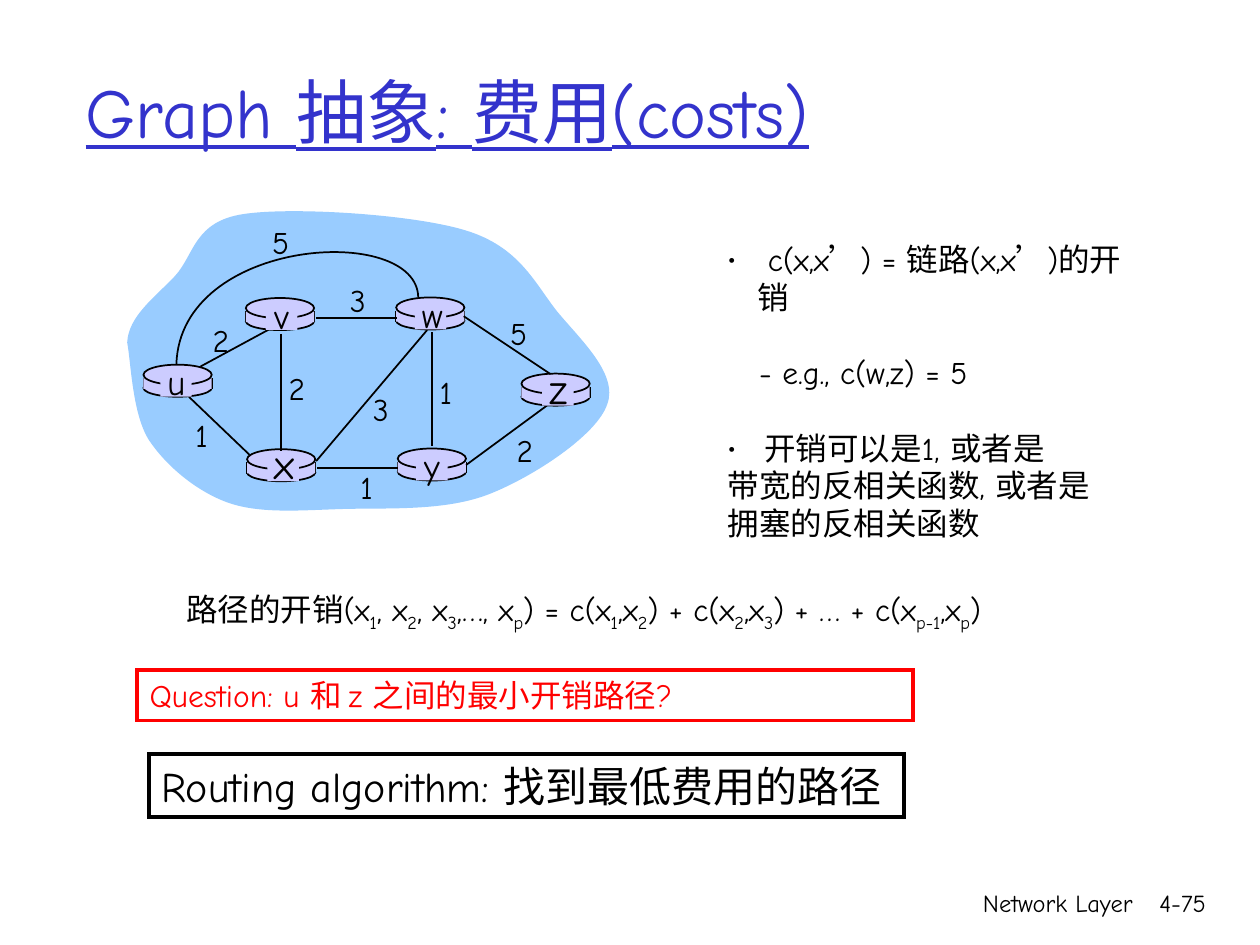
import pptx
import pptx.dml.color
import pptx.enum.shapes
import pptx.enum.text
import pptx.oxml.ns
import pptx.util
from lxml import etree

Pt = pptx.util.Pt
MSO = pptx.enum.shapes.MSO_SHAPE
ALIGN = pptx.enum.text.PP_ALIGN
ANCHOR = pptx.enum.text.MSO_ANCHOR
AUTO = pptx.enum.text.MSO_AUTO_SIZE
qn = pptx.oxml.ns.qn

BLACK, BLUE, RED = "000000", "3333CC", "FF0000"
LILAC, SKY = "CCCCFF", "99CCFF"

CLOUD = [
    (72.7, 195.8), (73.4, 180.7), (88.6, 169.9), (100.1, 157.7),
    (111.2, 145.4), (110.9, 126.7), (139, 122.4),
    (166.3, 118.1), (236.2, 122.4), (266.4, 131.8),
    (296.6, 141.1), (305.3, 161.3), (318.2, 177.8),
    (331.9, 194.4), (353.5, 213.8), (347, 231.1),
    (341.3, 248.4), (305.3, 272.2), (280.1, 282.2),
    (254.9, 292.3), (221.8, 290.2), (196.6, 290.9),
    (172.1, 291.6), (149, 293.8), (130.3, 287.3),
    (112.3, 280.8), (95, 266.4), (85, 251.3),
    (75.6, 236.2), (74.9, 207.4), (72.7, 195.8),
]
UW_ARC = [(239, 169.9), (238.3, 127.4), (103, 135.4), (100.8, 208.1)]
ROUTERS = {
    "u": (82, 216, 100.6, 20), "x": (141.2, 264.3, 161.8, 24),
    "v": (140.5, 177.9, 160.9, 20), "w": (226.4, 177.6, 246, 20),
    "y": (227.3, 263.9, 246.8, 20), "z": (298, 221.1, 318.8, 24),
}
EDGES = [
    (114.5, 209.5, 157, 186.5), (247, 190, 247, 255),
    (160.6, 190.8, 160.6, 257.8), (180.7, 263.5, 244.1, 188.6),
    (266.4, 265.7, 312.5, 231.8), (181.4, 267.3, 227.5, 267.3),
    (108, 226.8, 142.6, 259.9), (180.7, 181.6, 226.8, 181.6),
    (265, 180.7, 314.6, 213.8),
]
COSTS = [
    ("2", 126.2, 180.2), ("2", 169.6, 207.6), ("1", 115.2, 234),
    ("3", 217.6, 219.6), ("1", 209.5, 263.7), ("1", 254.7, 209.7),
    ("2", 299.9, 242.6), ("5", 296.3, 175.7), ("3", 204.5, 157),
    ("5", 160.4, 123.8),
]
NOTES = [
    (" c(x,x’) = 链路(x,x’)的开销", dict(bullet=True)),
    ("- e.g., c(w,z) = 5", dict(before=21.5, indent=18)),
    (" 开销可以是1, 或者是", dict(before=21.5, bullet=True)),
    ("带宽的反相关函数, 或者是", {}),
    ("拥塞的反相关函数", {}),
]
PATH_COST = ("路径的开销(x|1|, x|2|, x|3|,…, x|p|) = c(x|1|,x|2|) + "
             "c(x|2|,x|3|) + … + c(x|p-1|,x|p|)")


def rgb(value):
    return pptx.dml.color.RGBColor.from_string(value)


class Deck:
    """Draws styled elements on the current slide."""

    font = "Comic Neue"

    def __init__(self, width, height):
        self.prs = pptx.Presentation()
        self.prs.slide_width, self.prs.slide_height = Pt(width), Pt(height)
        self.s = self.prs.slides.add_slide(self.prs.slide_layouts[6])
        self.shapes = self.s.shapes

    def open_group(self):
        self.shapes = self.s.shapes.add_group_shape().shapes

    def close_group(self):
        self.shapes = self.s.shapes

    def paint(self, sp, fill=None, line=None, weight=1):
        sp.shadow.inherit = False
        if fill:
            sp.fill.solid()
            sp.fill.fore_color.rgb = rgb(fill)
        else:
            sp.fill.background()
        if line:
            sp.line.color.rgb = rgb(line)
            sp.line.width = Pt(weight)
            etree.SubElement(sp.line._get_or_add_ln(), qn("a:miter"), lim="800000")
        else:
            sp.line.fill.background()
        return sp

    def shape(self, kind, x, y, w, h, fill=None, line=None, weight=1):
        sp = self.shapes.add_shape(kind, Pt(x), Pt(y), Pt(w), Pt(h))
        return self.paint(sp, fill, line, weight)

    def curve(self, points, fill=None, line=None):
        pts = [(Pt(x), Pt(y)) for x, y in points]
        fb = self.shapes.build_freeform(*pts[0])
        fb.add_line_segments(pts[1:], close=bool(fill))
        sp = fb.convert_to_shape()
        segments = list(sp._element.iter(qn("a:lnTo")))
        for i in range(0, len(segments), 3):
            bezier = etree.Element(qn("a:cubicBezTo"))
            segments[i].addprevious(bezier)
            for segment in segments[i:i + 3]:
                bezier.append(segment[0])
                segment.getparent().remove(segment)
        return self.paint(sp, fill, line)

    def line(self, x1, y1, x2, y2):
        cx = self.shapes.add_connector(
            pptx.enum.shapes.MSO_CONNECTOR.STRAIGHT, Pt(x1), Pt(y1), Pt(x2), Pt(y2))
        cx.line.color.rgb = rgb(BLACK)
        cx.line.width = Pt(1)
        etree.SubElement(cx._element.spPr, qn("a:effectLst"))

    def router(self, x, y):
        self.shape(MSO.OVAL, x, y + 0.7, 39, 10, LILAC, BLACK)
        for side in (x, x + 39):
            self.line(side, y, side, y + 6.3)
        self.shape(MSO.RECTANGLE, x, y, 39, 6.3, LILAC)
        self.shape(MSO.OVAL, x, y - 7.6, 39, 11.5, LILAC, BLACK)

    def runs(self, p, text, size, color, underline=None):
        for i, part in enumerate(text.split("|")):
            r = p.add_run()
            r.text = part
            r.font.name, r.font.size = self.font, Pt(size)
            r.font.color.rgb = rgb(color)
            r.font.underline = underline
            if i % 2:
                r.font._element.set("baseline", "-25000")

    def layout(self, p, before=0, indent=0, bullet=False):
        pPr = p._p.get_or_add_pPr()
        if bullet:
            pPr.set("marL", str(Pt(17)))
            pPr.set("indent", str(-Pt(17)))
            clr = etree.SubElement(pPr, qn("a:buClr"))
            etree.SubElement(clr, qn("a:srgbClr"), val=BLACK)
            etree.SubElement(pPr, qn("a:buSzPct"), val="85000")
            etree.SubElement(pPr, qn("a:buFont"), typeface=self.font)
            etree.SubElement(pPr, qn("a:buChar"), char="•")
        elif indent:
            pPr.set("marL", str(Pt(indent)))
        if before:
            p.space_before = Pt(before)

    def text(self, paras, x, y, w, h, size=18, color=BLACK, align=ALIGN.LEFT,
             anchor=ANCHOR.TOP, wrap=True, grow=True, underline=None, border=None):
        if border:
            sp = self.shape(MSO.RECTANGLE, x, y, w, h, line=border, weight=2.25)
        else:
            sp = self.shapes.add_textbox(Pt(x), Pt(y), Pt(w), Pt(h))
        tf = sp.text_frame
        tf.word_wrap, tf.vertical_anchor = wrap, anchor
        tf.auto_size = AUTO.SHAPE_TO_FIT_TEXT if grow else AUTO.NONE
        if isinstance(paras, str):
            paras = [(paras, {})]
        for i, (text, options) in enumerate(paras):
            p = tf.add_paragraph() if i else tf.paragraphs[0]
            self.layout(p, **options)
            p.alignment = align
            self.runs(p, text, size, color, underline)

    def label(self, text, cx, y, size=18):
        self.text(text, cx - 12, y, 24, size * 1.6, size, align=ALIGN.CENTER, wrap=False)


def main():
    deck = Deck(720, 540)
    for text, x, w in (("Network Layer", 426.2, 228.2), ("4-75", 643, 53.3)):
        deck.text(text, x, 504, w, 36, 14, align=ALIGN.RIGHT, grow=False)
    deck.text("Graph 抽象: 费用(costs)", 41.9, 18, 612, 90, 40, BLUE,
              anchor=ANCHOR.MIDDLE, grow=False, underline=True)

    deck.open_group()
    deck.curve(CLOUD, fill=SKY)
    deck.line(*EDGES[0])
    for x, y, *_ in ROUTERS.values():
        deck.router(x, y)
    for edge in EDGES[1:]:
        deck.line(*edge)
    deck.curve(UW_ARC, line=BLACK)
    for name, (x, y, cx, size) in ROUTERS.items():
        deck.shape(MSO.RECTANGLE, cx - 9, y - 5.8, 18, 16.5, LILAC)
        deck.label(name, cx, y + 7.4 - size * 1.04, size)
    for cost, x, y in COSTS:
        deck.label(cost, x, y)
    deck.close_group()

    deck.text(NOTES, 408.7, 133.6, 245.5, 158.4)
    deck.text(PATH_COST, 99.4, 333.4, 484.6, 31.7, wrap=False)
    deck.text("Question: u 和 z 之间的最小开销路径?", 78.5, 383, 443.5, 28.8,
              color=RED, border=RED)
    deck.text("Routing algorithm: 找到最低费用的路径", 85.2, 431, 431.6, 36, 24,
              wrap=False, border=BLACK)
    deck.prs.save("out.pptx")


if __name__ == "__main__":
    main()
